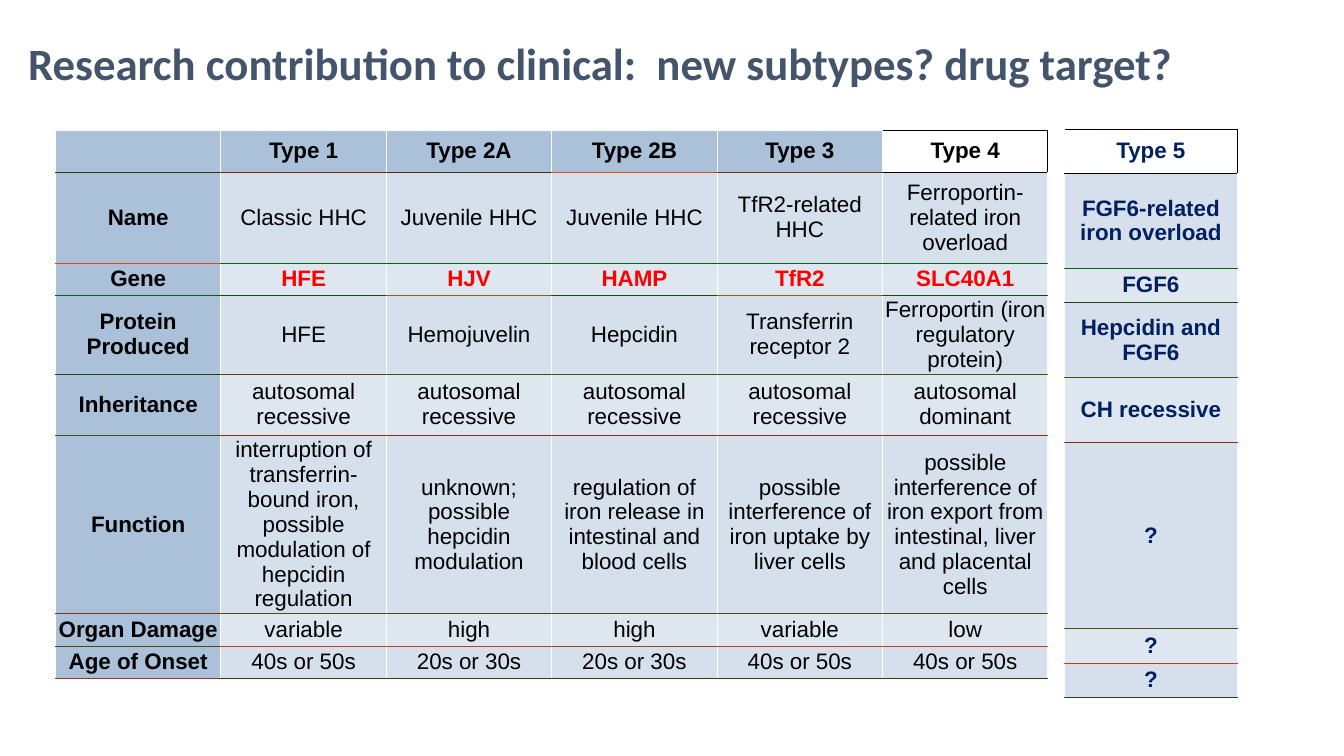
from dataclasses import dataclass

from lxml import etree
from pptx import Presentation
from pptx import util as u
from pptx.dml.color import RGBColor
from pptx.enum import text
from pptx.oxml import ns

WIDE, HIGH = u.Inches(13.33), u.Inches(7.5)

BLACK = RGBColor(0x00, 0x00, 0x00)
WHITE = RGBColor(0xFF, 0xFF, 0xFF)
SLATE = RGBColor(0x44, 0x54, 0x6A)
NAVY = RGBColor(0x00, 0x20, 0x60)
RED = RGBColor(0xFF, 0x00, 0x00)
STEEL = RGBColor(0xAA, 0xC1, 0xD9)
MIST = RGBColor(0xD5, 0xE0, 0xEC)
PALE = RGBColor(0xDE, 0xE6, 0xEF)
GREEN = RGBColor(0x08, 0x62, 0x10)
PINE = RGBColor(0x20, 0x41, 0x10)
MOSS = RGBColor(0x48, 0x55, 0x10)
RUST = RGBColor(0x88, 0x33, 0x10)
OLIVE = RGBColor(0x50, 0x4A, 0x10)
BRICK = RGBColor(0xD0, 0x39, 0x10)
FERN = RGBColor(0x28, 0x42, 0x10)
IVY = RGBColor(0x30, 0x37, 0x10)
FLAME = RGBColor(0xE8, 0x45, 0x10)
CLAY = RGBColor(0x90, 0x3A, 0x10)
UMBER = RGBColor(0x68, 0x2F, 0x10)
COCOA = RGBColor(0x48, 0x2E, 0x10)
EMBER = RGBColor(0xD8, 0x4F, 0x10)
SIENNA = RGBColor(0x78, 0x2E, 0x10)
GOLD = RGBColor(0x90, 0x61, 0x10)
BRONZE = RGBColor(0x60, 0x40, 0x10)
AMBER = RGBColor(0x98, 0x4A, 0x10)

# Line under each row; the label column runs one row behind the rest.
UNDER = [BLACK, GREEN, PINE, MOSS, RUST, OLIVE, BRICK, FERN]
LABEL = [IVY, FLAME, *UNDER[1:6], CLAY]
ODD = {(0, 1): UMBER, (0, 2): COCOA, (0, 3): EMBER, (0, 4): SIENNA,
       (2, 2): GOLD, (2, 4): GOLD, (3, 1): BRONZE, (6, 3): AMBER}
GENE = 2

TYPES = [
    ["", "Type 1", "Type 2A", "Type 2B", "Type 3", "Type 4"],
    ["Name", "Classic HHC", "Juvenile HHC", "Juvenile HHC",
     "TfR2-related HHC", "Ferroportin-related iron overload"],
    ["Gene", "HFE", "HJV", "HAMP", "TfR2", "SLC40A1"],
    ["Protein Produced", "HFE", "Hemojuvelin", "Hepcidin",
     "Transferrin receptor 2", "Ferroportin (iron regulatory protein)"],
    ["Inheritance", *["autosomal recessive"] * 4, "autosomal dominant"],
    ["Function",
     "interruption of transferrin-bound iron, possible modulation of "
     "hepcidin regulation",
     "unknown; possible hepcidin modulation",
     "regulation of iron release in intestinal and blood cells",
     "possible interference of iron uptake by liver cells",
     "possible interference of iron export from intestinal, liver and "
     "placental cells"],
    ["Organ Damage", "variable", "high", "high", "variable", "low"],
    ["Age of Onset", "40s or 50s", "20s or 30s", "20s or 30s",
     "40s or 50s", "40s or 50s"],
]
FIFTH = [["Type 5"], ["FGF6-related iron overload"], ["FGF6"],
         ["Hepcidin and FGF6"], ["CH recessive"], ["?"], ["?"], ["?"]]


@dataclass
class Look:
    fill: RGBColor
    ink: RGBColor
    bold: bool
    under: RGBColor
    boxed: bool = False


@dataclass
class Grid:
    """Left and column in percent of slide width, top and rows of height."""
    left: float
    top: float
    col: float
    rows: list[float]
    words: list[list[str]]
    new: bool = False


GRIDS = [
    Grid(4.13, 17.2, 12.31, [5.6, 12, 4.27, 10, 8.13, 23.6, 4.27, 4.27],
         TYPES),
    Grid(79.22, 17.07, 12.83,
         [5.87, 12.53, 4.53, 10, 8.53, 24.67, 4.53, 4.53], FIFTH, new=True),
]


def across(share: float) -> int:
    return round(WIDE * share / 100)


def down(share: float) -> int:
    return round(HIGH * share / 100)


def write(frame, words: str, *, size: float = 16, font: str = "Arial",
          ink: RGBColor = BLACK, bold: bool = False,
          align=text.PP_ALIGN.CENTER) -> None:
    para = frame.paragraphs[0]
    para.alignment = align
    para.font.size = u.Pt(size)
    if words:
        run = para.add_run()
        run.text = words
        run.font.size, run.font.name = u.Pt(size), font
        run.font.bold, run.font.color.rgb = bold, ink


def edge(cell, tags: dict[str, RGBColor]) -> None:
    """Put border lines, in schema order, ahead of the cell's fill."""
    props = cell._tc.get_or_add_tcPr()
    for spot, (tag, tint) in enumerate(tags.items()):
        line = etree.Element(ns.qn(f"a:{tag}"), w=str(u.Pt(0.75)))
        solid = etree.SubElement(line, ns.qn("a:solidFill"))
        etree.SubElement(solid, ns.qn("a:srgbClr"), val=str(tint))
        props.insert(spot, line)


def style(grid: Grid, row: int, col: int) -> Look:
    band = MIST if row % 2 else PALE
    if grid.new:
        return Look(band if row else WHITE, NAVY, True, UNDER[row], row == 0)
    if col == 0:
        return Look(STEEL, BLACK, True, LABEL[row])
    under = ODD.get((row, col), UNDER[row])
    if row == 0:
        last = col == len(grid.words[0]) - 1
        return Look(WHITE if last else STEEL, BLACK, True, under, last)
    gene = row == GENE
    return Look(band, RED if gene else BLACK, gene, under)


def draw(slide, grid: Grid) -> None:
    rows, cols = len(grid.words), len(grid.words[0])
    table = slide.shapes.add_table(
        rows, cols, across(grid.left), down(grid.top),
        across(grid.col * cols), down(sum(grid.rows))).table
    table.first_row = table.horz_banding = False
    for part in table.columns:
        part.width = across(grid.col)
    for part, share in zip(table.rows, grid.rows):
        part.height = down(share)
    for row, line in enumerate(grid.words):
        for col, words in enumerate(line):
            cell, look = table.cell(row, col), style(grid, row, col)
            cell.margin_left = cell.margin_right = u.Inches(0.02)
            cell.margin_top = cell.margin_bottom = u.Inches(0.02)
            cell.vertical_anchor = text.MSO_ANCHOR.MIDDLE
            cell.fill.solid()
            cell.fill.fore_color.rgb = look.fill
            side = BLACK if look.boxed else WHITE
            over = style(grid, row - 1, col).under if row else side
            edge(cell, {"lnL": WHITE, "lnR": side,
                        "lnT": over, "lnB": look.under})
            write(cell.text_frame, words, ink=look.ink, bold=look.bold)


def main() -> None:
    deck = Presentation()
    deck.slide_width, deck.slide_height = WIDE, HIGH
    slide = deck.slides.add_slide(deck.slide_layouts[6])
    for grid in GRIDS:
        draw(slide, grid)
    title = slide.shapes.add_textbox(
        across(1.35), down(4), across(97.82), down(8.53)).text_frame
    title.word_wrap = False
    title.auto_size = text.MSO_AUTO_SIZE.SHAPE_TO_FIT_TEXT
    write(title,
          "Research contribution to clinical:  new subtypes? drug target?",
          size=32, font="Calibri", ink=SLATE, bold=True,
          align=text.PP_ALIGN.LEFT)
    deck.save("out.pptx")


if __name__ == "__main__":
    main()
